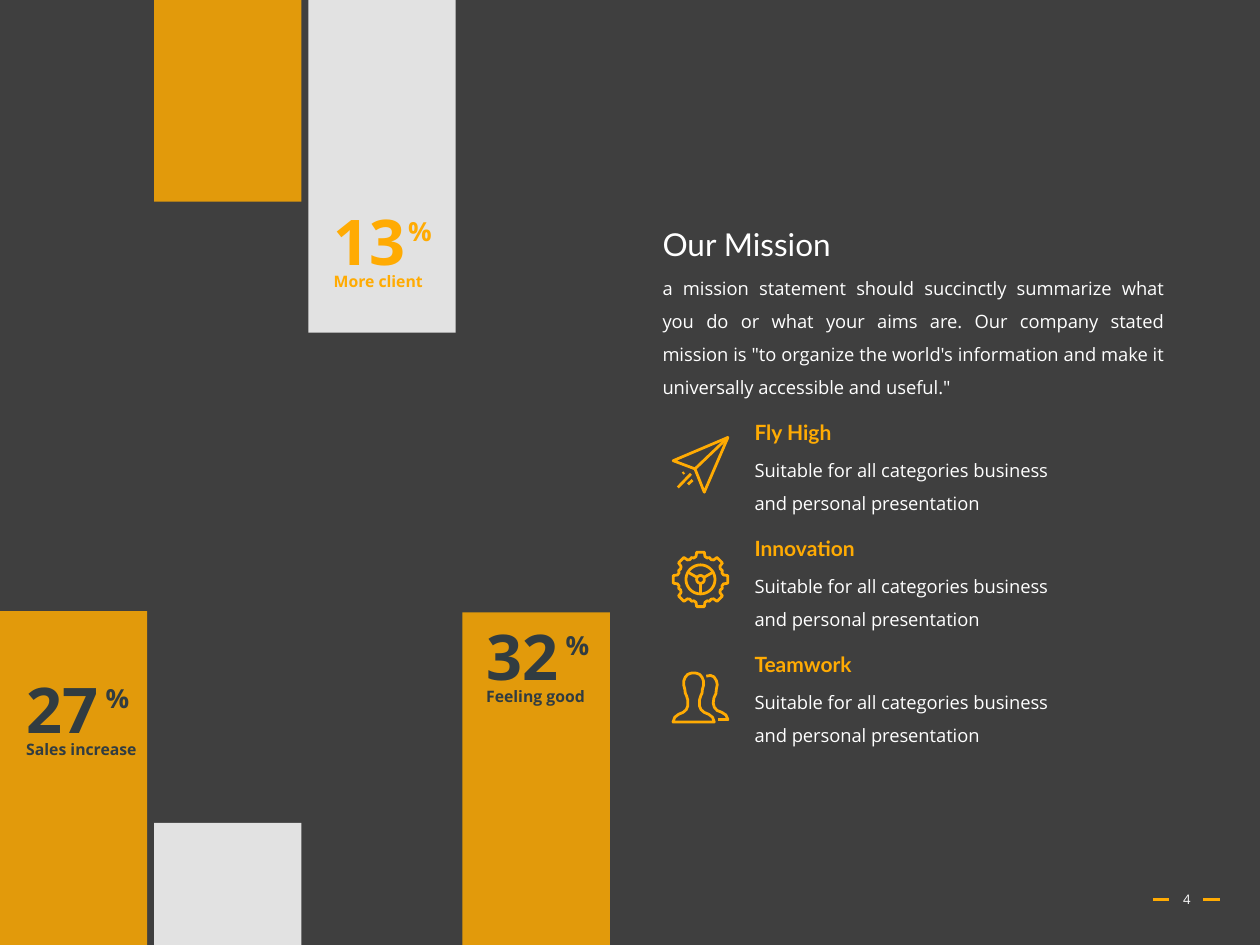
"""Builds the mission slide with percentage bars, three values and icons."""
from math import cos, radians, sin

from lxml import etree
from pptx import Presentation
from pptx import util as u
from pptx.dml.color import RGBColor
from pptx.enum import shapes, text
from pptx.oxml.ns import qn

Pt = u.Pt
COLORS = {"back": "3F3F3F", "amber": "FFAB03", "white": "FFFFFF", "slate": "313C41"}
RGB = {name: RGBColor.from_string(value) for name, value in COLORS.items()}

prs = Presentation()
prs.slide_width, prs.slide_height = Pt(720), Pt(540)
s = prs.slides.add_slide(prs.slide_layouts[6])
s.background.fill.solid()
s.background.fill.fore_color.rgb = RGB["back"]


def add_text(box, words, size, color, font="Open Sans", bold=False, wrap=True,
             align=text.PP_ALIGN.LEFT, spacing=None):
    sp = s.shapes.add_textbox(*map(Pt, box))
    tf = sp.text_frame
    tf.word_wrap = wrap
    p = tf.paragraphs[0]
    p.alignment = align
    if spacing:
        p.line_spacing = spacing
    r = p.add_run()
    r.text = words
    r.font.size, r.font.name, r.font.bold = Pt(size), font, bold
    r.font.color.rgb = RGB[color]
    return tf


def polar(cx, cy, radius, degrees):
    return cx + radius * cos(radians(degrees)), cy + radius * sin(radians(degrees))


for x in (658.8, 687.6):
    dash = s.shapes.add_connector(shapes.MSO_CONNECTOR.STRAIGHT,
                                  Pt(x), Pt(514), Pt(x + 9.4), Pt(514))
    dash.line.color.rgb = RGB["amber"]
    dash.line.width = Pt(1.75)
    etree.SubElement(dash._element.spPr, qn("a:effectLst"))
page = add_text((662.4, 499.7, 31.7, 28.8), "4", 7.5, "white", align=text.PP_ALIGN.CENTER)
page.vertical_anchor = text.MSO_ANCHOR.MIDDLE

BAR_STEP, BAR_WIDTH = 88.1, 84.2
bars = [(0, 349.2, 190.8, "amber"), (1, 470.2, 69.8, "white"), (1, 0, 115.2, "amber"),
        (2, 0, 190.1, "white"), (3, 349.9, 190.1, "amber")]
for column, top, height, color in bars:
    bar = s.shapes.add_shape(shapes.MSO_SHAPE.RECTANGLE, Pt(column * BAR_STEP), Pt(top),
                             Pt(BAR_WIDTH), Pt(height))
    bar.shadow.inherit = False
    bar.line.fill.background()
    bar.fill.solid()
    bar.fill.fore_color.rgb = RGB[color]
    rgb_node = bar._element.spPr.find(qn("a:solidFill"))[0]
    etree.SubElement(rgb_node, qn("a:alpha"), val="85000")

stats = [(7.9, 379.4, "27", "Sales increase", "slate", 45.4),
         (183.6, 112.3, "13", "More client", "amber", 42.5),
         (270.7, 349.2, "32", "Feeling good", "slate", 45.4)]
for x, y, number, label, color, gap in stats:
    add_text((x, y, 56.2, 51.1), number, 36, color, bold=True, wrap=False)
    add_text((x, y + 39.6, 77.8, 18), label, 9, color, bold=True)
    add_text((x + gap, y + 7, 28.1, 25.2), "%", 15, color, bold=True, wrap=False)

add_text((371.5, 125.3, 234, 28.8), "Our Mission", 18, "white", "Lato")
add_text((371.5, 148.3, 301, 90),
         "a mission statement should succinctly summarize what you do or what your aims are. "
         "Our company stated mission is \"to organize the world's information and make it "
         "universally accessible and useful.\"",
         10.5, "white", align=text.PP_ALIGN.JUSTIFY, spacing=1.5)

plane = [([(0.9, 14.2), (32.2, 0.9), (18.7, 32.2), (13.4, 18.9)], True),
         ([(13.4, 18.9), (32.2, 0.9)], False), ([(11.1, 21.7), (3.6, 29.5)], False),
         ([(12, 25.3), (9.4, 27.7)], False), ([(7.2, 20.9), (6.4, 21.6)], False)]

HUB = (16.5, 16.5)
tooth = [(-11, 13.4), (-8, 15.7), (8, 15.7), (11, 13.4), (17, 12.8), (22.5, 13.5), (28, 12.8)]
gear = [([polar(*HUB, radius, turn + angle) for turn in range(0, 360, 45)
          for angle, radius in tooth], True)]
gear += [([polar(*HUB, radius, angle) for angle in range(0, 360, 10)], True)
         for radius in (2.2, 8.3)]
gear += [([polar(*HUB, 2.2, angle), polar(*HUB, 8.3, angle)], False)
         for angle in (90, 210, 330)]

half = [(12.6, 0.8), (11, 0.9), (9.2, 1.6), (7.8, 3.2), (7, 5.2), (6.9, 7.6), (7.6, 10.3),
        (7.8, 12.3), (8.5, 13.7), (9.2, 16), (9.3, 19.5), (8.4, 21.7), (6.6, 23.3),
        (4, 24.4), (1.8, 26.1), (0.8, 28.8)]
front = half + [(25.2 - x, y) for x, y in reversed(half[1:])]
back = [(19.8, 2.6), (22.3, 2.2), (24.2, 3), (25.6, 5.2), (26.1, 7.5), (25.6, 9.8),
        (25.3, 12.6), (24.2, 15), (23.8, 18), (24.4, 20.4), (26, 22.2), (28.7, 23.3),
        (31, 24.8), (32.2, 27.4), (26.6, 27.4)]
people = [(front, True), (back, False)]

values = [("Fly High", 59, plane, 249.1), ("Innovation", 72.7, gear, 314.6),
          ("Teamwork", 72, people, 383.8)]
for row, (title, width, icon, icon_top) in enumerate(values):
    y = 236.2 + row * 66.2
    add_text((424.1, y, width, 21.6), title, 12, "amber", "Lato", True, wrap=False)
    add_text((424.1, y + 16.6, 188, 45.4),
             "Suitable for all categories business and personal presentation",
             10.5, "white", spacing=1.5)
    builder = None
    for points, closed in icon:
        (x0, y0), *rest = [(px * 100, py * 100) for px, py in points]
        if builder is None:
            builder = s.shapes.build_freeform(x0, y0, scale=127)
        else:
            builder.move_to(x0, y0)
        builder.add_line_segments(rest, close=closed)
    sp = builder.convert_to_shape(Pt(383.8), Pt(icon_top))
    sp.shadow.inherit = False
    sp.fill.background()
    sp.line.color.rgb = RGB["amber"]
    sp.line.width = Pt(1.6)

prs.save("out.pptx")
